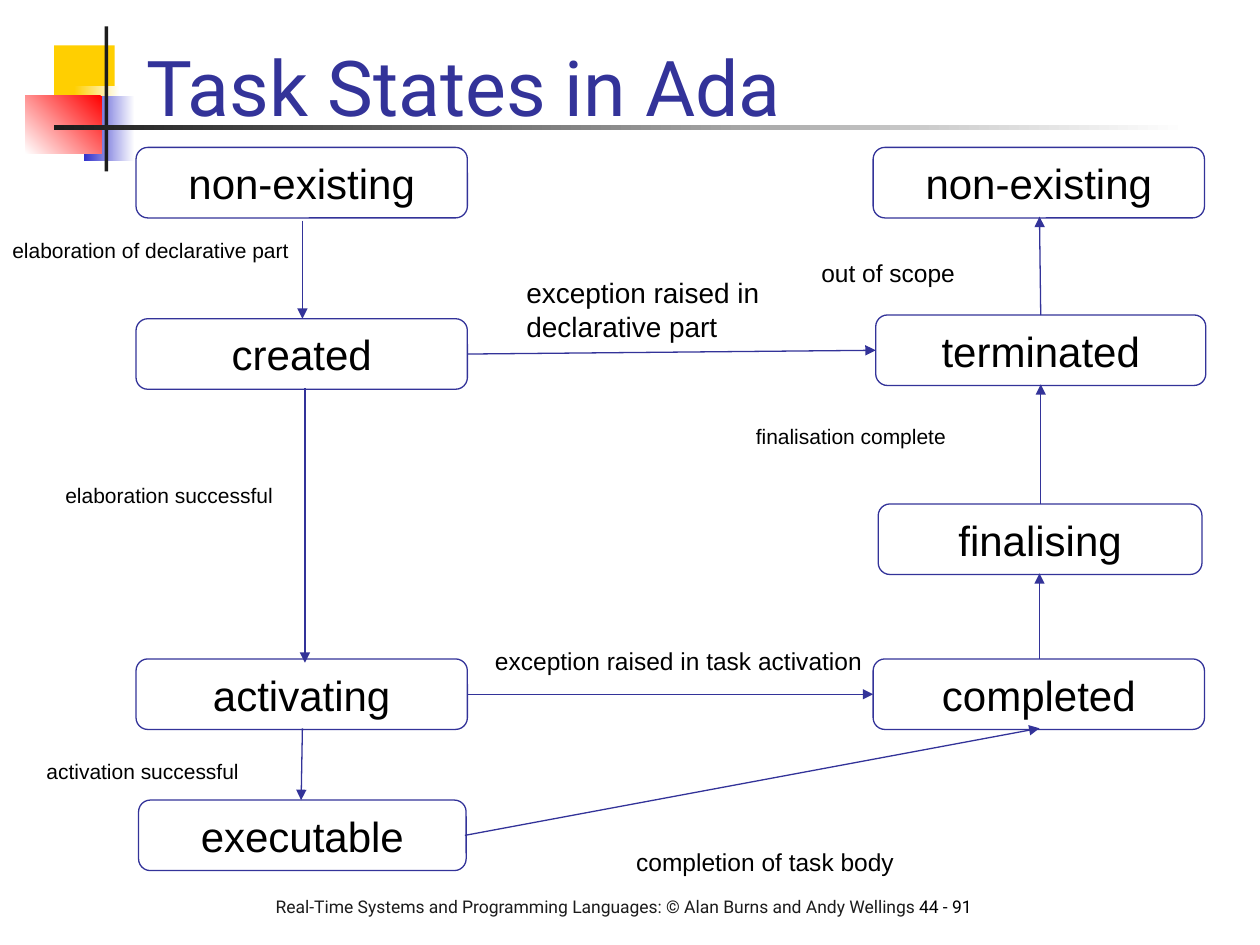
from pptx import Presentation
from pptx.util import Inches, Pt
from pptx.dml.color import RGBColor
from pptx.enum.shapes import MSO_CONNECTOR, MSO_SHAPE
from pptx.enum.text import MSO_ANCHOR, MSO_AUTO_SIZE, PP_ALIGN
from pptx.oxml.ns import qn
from lxml import etree

RECT, ROUND = MSO_SHAPE.RECTANGLE, MSO_SHAPE.ROUNDED_RECTANGLE
STRAIGHT = MSO_CONNECTOR.STRAIGHT
TOP, MIDDLE, BOTTOM = MSO_ANCHOR.TOP, MSO_ANCHOR.MIDDLE, MSO_ANCHOR.BOTTOM
LEFT, CENTER = PP_ALIGN.LEFT, PP_ALIGN.CENTER
NO_FIT = MSO_AUTO_SIZE.NONE

NAVY, INK, BLACK, WHITE = "333399", "1C1C1C", "000000", "FFFFFF"
GOLD, BLUE, RED = "FFCF01", "3333CC", "FF0000"

# Box, then the two gradient colours and the angle (one colour is solid)
DECOR = [
    ((0.43, 0.36, 0.48, 0.52), [GOLD], 0),
    ((0.59, 0.68, 0.36, 0.52), [WHITE, GOLD], 180),
    ((0.67, 0.76, 0.4, 0.52), [WHITE, BLUE], 180),
    ((0.2, 0.76, 0.61, 0.46), [RED, WHITE], 225),
    ((0.83, 0.21, 0.03, 1.15), [INK], 0),
    ((0.43, 0.99, 9, 0.04), [WHITE, INK], 180),
]
# Name, left, top, width
STATES = [
    ("non-existing", 1.08, 1.17, 2.63),
    ("created", 1.08, 2.53, 2.63),
    ("activating", 1.08, 5.23, 2.63),
    ("executable", 1.1, 6.35, 2.6),
    ("completed", 6.93, 5.23, 2.63),
    ("finalising", 6.97, 4, 2.57),
    ("terminated", 6.95, 2.5, 2.62),
    ("non-existing", 6.93, 1.17, 2.63),
]
# Start and end points
MOVES = [
    (2.4, 1.75, 2.4, 2.53),
    (2.42, 3.08, 2.42, 5.26),
    (2.4, 5.78, 2.39, 6.35),
    (3.69, 6.63, 8.25, 5.78),
    (3.71, 5.51, 6.93, 5.51),
    (3.71, 2.81, 6.95, 2.78),
    (8.25, 5.23, 8.25, 4.55),
    (8.26, 4, 8.26, 3.05),
    (8.26, 2.5, 8.25, 1.72),
]
# Wording, size, box
LABELS = [
    ("elaboration of declarative part", 12, (0, 1.84, 2.67, 0.3)),
    ("elaboration successful", 12, (0.42, 3.78, 2.08, 0.3)),
    ("activation successful", 12, (0.27, 5.97, 1.89, 0.3)),
    ("finalisation complete", 12, (5.9, 3.31, 1.99, 0.3)),
    ("exception raised in task activation", 14, (3.83, 5.08, 3.75, 0.34)),
    ("completion of task body", 14, (4.95, 6.67, 3.08, 0.34)),
    ("out of scope", 14, (6.42, 2, 1.5, 0.34)),
    ("exception raised in declarative part", 16, (4.08, 2.14, 2.33, 0.64)),
]


def rgb(code):
    return RGBColor.from_string(code)


def inch(box):
    return [Inches(n) for n in box]


def write(shape, runs, size, face, align=LEFT, anchor=TOP):
    """Fill a shape with one paragraph of (text, colour) runs."""
    frame = shape.text_frame
    frame.word_wrap = True
    frame.auto_size = NO_FIT
    frame.vertical_anchor = anchor
    par = frame.paragraphs[0]
    par.alignment = align
    for text, color in runs:
        run = par.add_run()
        run.text = text
        run.font.size = Pt(size)
        run.font.name = face
        run.font.color.rgb = rgb(color)


def add_decor(slide):
    for box, colors, angle in DECOR:
        shape = slide.shapes.add_shape(RECT, *inch(box))
        shape.shadow.inherit = False
        shape.line.fill.background()
        if len(colors) == 1:
            shape.fill.solid()
            shape.fill.fore_color.rgb = rgb(colors[0])
            continue
        shape.fill.gradient()
        shape.fill.gradient_angle = angle
        for stop, color in zip(shape.fill.gradient_stops, colors):
            stop.color.rgb = rgb(color)


def add_title(slide, box):
    title = slide.shapes.title
    title.left, title.top, title.width, title.height = inch(box)
    write(title, [("Task States in Ada", NAVY)], 44, "Roboto", anchor=BOTTOM)


def add_text(slide, box, runs, size, face):
    write(slide.shapes.add_textbox(*inch(box)), runs, size, face)


def add_state(slide, name, box):
    shape = slide.shapes.add_shape(ROUND, *inch(box))
    shape.adjustments[0] = 0.167
    shape.shadow.inherit = False
    shape.fill.background()
    shape.line.color.rgb = rgb(NAVY)
    shape.line.width = Pt(0.75)
    write(shape, [(name, BLACK)], 24, "Arial", CENTER, MIDDLE)


def add_arrow(slide, ends):
    arrow = slide.shapes.add_connector(STRAIGHT, *inch(ends))
    arrow.line.color.rgb = rgb(NAVY)
    arrow.line.width = Pt(0.75)
    line = arrow.line._get_or_add_ln()
    etree.SubElement(line, qn("a:tailEnd"), type="triangle")
    etree.SubElement(arrow._element.spPr, qn("a:effectLst"))


def add_graph(slide):
    for name, left, top, width in STATES:
        add_state(slide, name, (left, top, width, 0.56))
    for ends in MOVES:
        add_arrow(slide, ends)
    for text, size, box in LABELS:
        add_text(slide, box, [(text, BLACK)], size, "Arial")


def main():
    deck = Presentation()
    deck.slide_width, deck.slide_height = Inches(10), Inches(7.5)
    slide = deck.slides.add_slide(deck.slide_layouts[5])
    add_decor(slide)
    add_title(slide, (1.06, 0.13, 8.52, 0.97))
    add_graph(slide)
    footer = [
        ("Real-Time Systems and Programming Languages: "
         "© Alan Burns and Andy Wellings ", INK),
        ("44 - 91", BLACK),
    ]
    add_text(slide, (2.09, 7.06, 6.06, 0.4), footer, 10, "Roboto")
    deck.save("out.pptx")


if __name__ == "__main__":
    main()
